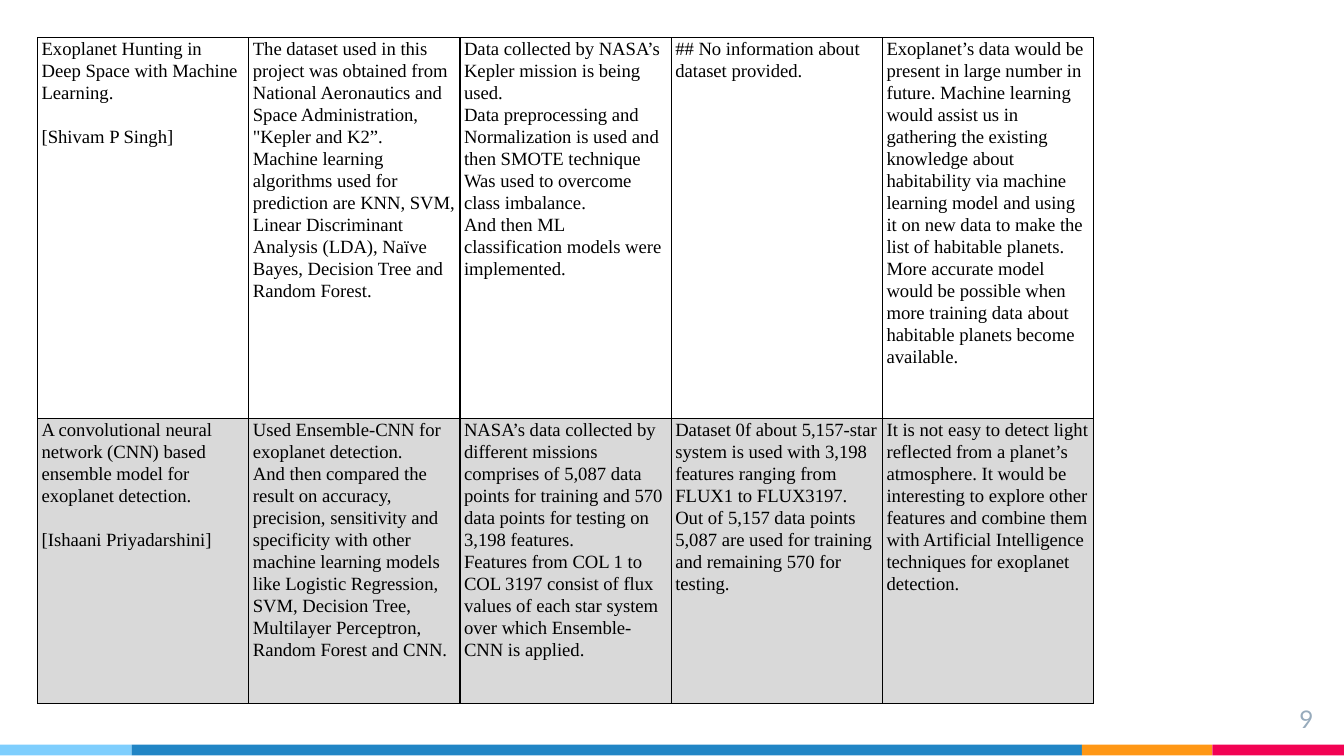
import pptx
import pptx.util
import pptx.dml.color
import pptx.enum.shapes
import pptx.enum.text
import pptx.oxml
from dataclasses import dataclass
from pptx.oxml.ns import nsdecls

Inches = pptx.util.Inches
Pt = pptx.util.Pt
RGB = pptx.dml.color.RGBColor.from_string


@dataclass
class Theme:
    sky: str = "7ECEFD"
    blue: str = "2185C5"
    orange: str = "FF9715"
    pink: str = "F20253"
    ink: str = "000000"
    shade: str = "D9D9D9"
    muted: str = "97ABBC"
    serif: str = "Times New Roman"
    sans: str = "Lato"
    body: int = 10
    number: int = 13
    line: float = 0.75


theme = Theme()


def border(cell):
    props = cell._tc.get_or_add_tcPr()
    for side in ("lnL", "lnR", "lnT", "lnB"):
        props.append(pptx.oxml.parse_xml(
            f'<a:{side} {nsdecls("a")} w="{Pt(theme.line)}"><a:solidFill>'
            f'<a:srgbClr val="{theme.ink}"/></a:solidFill></a:{side}>'))


def style(font, name, size, color):
    font.name = name
    font.size = Pt(size)
    font.color.rgb = RGB(color)


deck = pptx.Presentation()
deck.slide_width = Inches(10)
deck.slide_height = Inches(10) * 9 // 16
slide = deck.slides.add_slide(deck.slide_layouts[6])

# Colour strip along the bottom edge
left = 0
for width, color in ((0.98, theme.sky), (7.07, theme.blue),
                     (0.97, theme.orange), (0.98, theme.pink)):
    bar = slide.shapes.add_shape(
        pptx.enum.shapes.MSO_SHAPE.RECTANGLE,
        Inches(left), Inches(5.54), Inches(width), Inches(0.08))
    bar.shadow.inherit = False
    bar.fill.solid()
    bar.fill.fore_color.rgb = RGB(color)
    bar.line.fill.background()
    left += width

# Page number
box = slide.shapes.add_textbox(Inches(9.27), Inches(5.14), Inches(0.6), Inches(0.34))
frame = box.text_frame
frame.word_wrap = True
frame.margin_left = frame.margin_right = Inches(0.1)
frame.margin_top = frame.margin_bottom = Inches(0.1)
frame.text = "9"
page = frame.paragraphs[0]
page.alignment = pptx.enum.text.PP_ALIGN.RIGHT
style(page.runs[0].font, theme.sans, theme.number, theme.muted)

# Literature review: paper, method, data handling, data size, outlook
papers = [
    [
        ["Exoplanet Hunting in Deep Space with Machine Learning.",
         "[Shivam P Singh]"],
        ["The dataset used in this project was obtained from National Aeronautics "
         "and Space Administration, \"Kepler and K2”.",
         "Machine learning algorithms used for prediction are KNN, SVM, Linear "
         "Discriminant Analysis (LDA), Naïve Bayes, Decision Tree and Random Forest."],
        ["Data collected by NASA’s Kepler mission is being used.",
         "Data preprocessing and Normalization is used and then SMOTE technique",
         "Was used to overcome class imbalance.",
         "And then ML classification models were implemented."],
        ["## No information about dataset provided."],
        ["Exoplanet’s data would be present in large number in future. Machine "
         "learning would assist us in gathering the existing knowledge about "
         "habitability via machine learning model and using it on new data to make "
         "the list of habitable planets. More accurate model would be possible when "
         "more training data about habitable planets become available."],
    ],
    [
        ["A convolutional neural network (CNN) based ensemble model for exoplanet "
         "detection.",
         "[Ishaani Priyadarshini]"],
        ["Used Ensemble-CNN for exoplanet detection.",
         "And then compared the result on accuracy, precision, sensitivity and "
         "specificity with other machine learning models like Logistic Regression, "
         "SVM, Decision Tree, Multilayer Perceptron, Random Forest and CNN."],
        ["NASA’s data collected by different missions comprises of 5,087 data points "
         "for training and 570 data points for testing on 3,198 features.",
         "Features from COL 1 to COL 3197 consist of flux values of each star system "
         "over which Ensemble-CNN is applied."],
        ["Dataset 0f about 5,157-star system is used with 3,198 features ranging from "
         "FLUX1 to FLUX3197.",
         "Out of 5,157 data points 5,087 are used for training and remaining 570 for "
         "testing."],
        ["It is not easy to detect light reflected from a planet’s atmosphere. It "
         "would be interesting to explore other features and combine them with "
         "Artificial Intelligence techniques for exoplanet detection."],
    ],
]
heights = (1.99, 1.77)
tallest = (4, 1)  # column whose text sets the height of each row
table = slide.shapes.add_table(
    len(papers), len(papers[0]), Inches(0.28), Inches(0.28),
    Inches(7.86), Inches(sum(heights))).table
table.first_row = table.horz_banding = False

for r, (paper, height) in enumerate(zip(papers, heights)):
    table.rows[r].height = Inches(height)
    for c, lines in enumerate(paper):
        cell = table.cell(r, c)
        border(cell)
        if r % 2:
            cell.fill.solid()
            cell.fill.fore_color.rgb = RGB(theme.shade)
        else:
            cell.fill.background()
        cell.margin_left = cell.margin_right = Inches(0.03)
        cell.margin_top = 0
        cell.margin_bottom = Inches(0.16 if c == tallest[r] else 0)
        cell.text_frame.text = "\n".join(lines)
        for i, para in enumerate(cell.text_frame.paragraphs):
            para.line_spacing = 1.07
            if c == 0 and i:  # author stands one line below the paper
                para.space_before = Pt(11.8)
            style(para.runs[0].font, theme.serif, theme.body, theme.ink)

deck.save("out.pptx")
